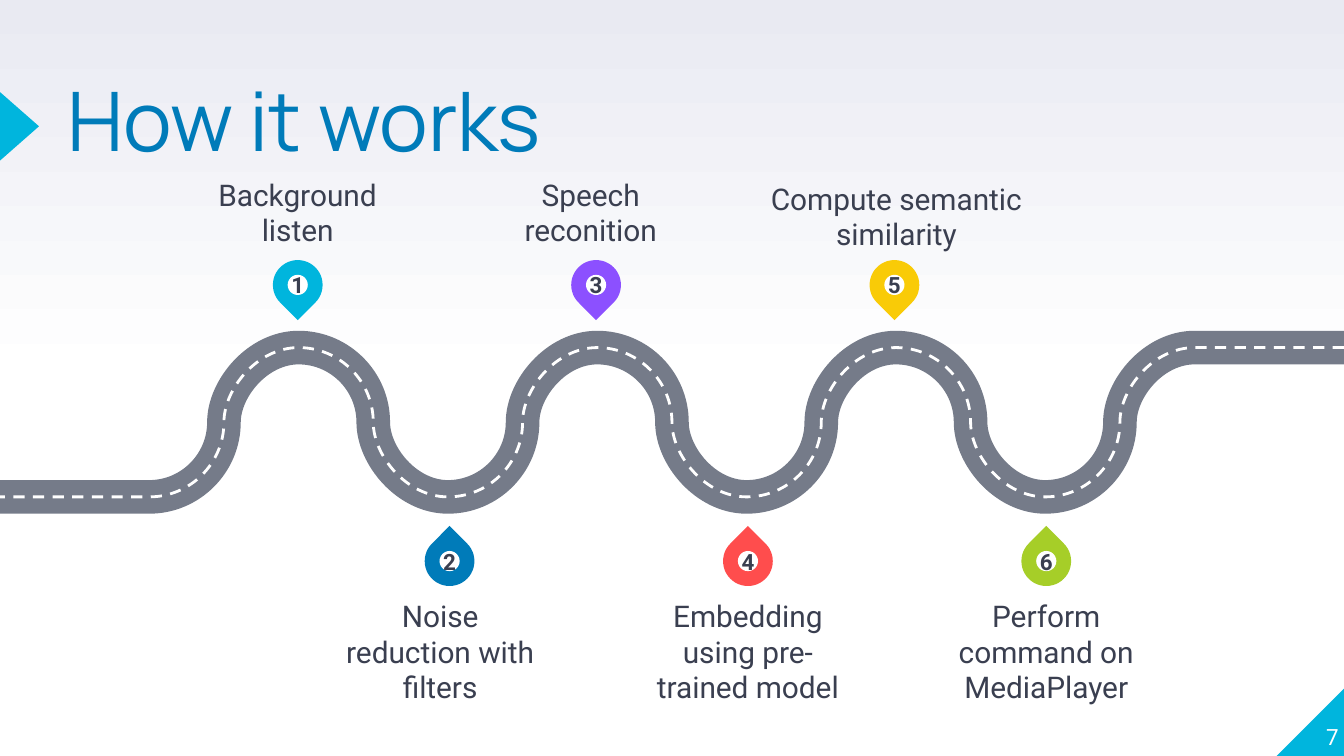
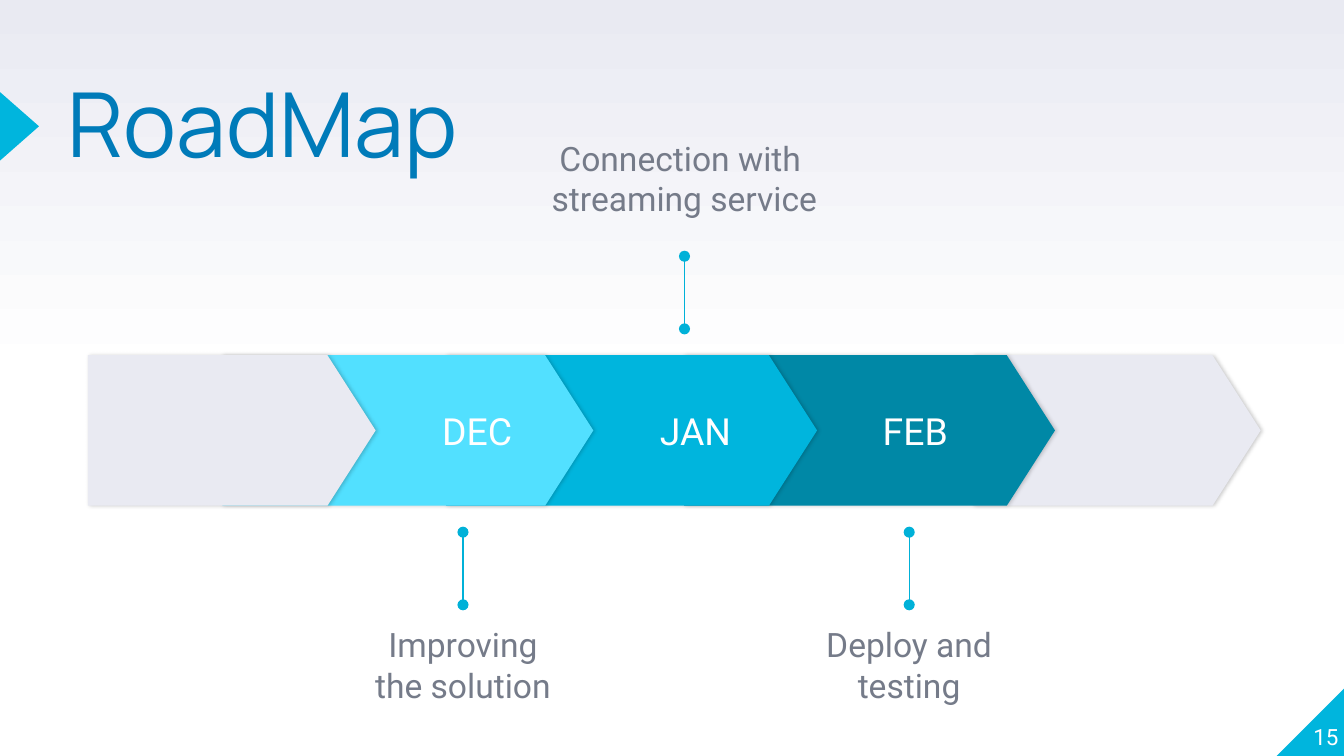
from dataclasses import dataclass

from lxml.etree import SubElement
from pptx import Presentation
from pptx.dml.color import RGBColor
from pptx.enum.dml import MSO_LINE_DASH_STYLE as Dash
from pptx.enum.shapes import MSO_CONNECTOR_TYPE as Link, MSO_SHAPE as Form
from pptx.enum.text import MSO_ANCHOR as Anchor, PP_ALIGN as Align
from pptx.oxml import parse_xml
from pptx.oxml.ns import nsdecls, qn
from pptx.util import Inches, Pt


@dataclass(frozen=True)
class Theme:
    heading: str = "Manrope"
    body: str = "Roboto"
    white: str = "FFFFFF"
    mist: str = "E9EAF2"
    slate: str = "757B89"
    ink: str = "3A3F50"
    cyan: str = "00B5DD"
    sky: str = "52E0FF"
    teal: str = "0088A6"
    link: str = "00B1D8"
    blue: str = "007BB9"
    violet: str = "8C50FF"
    red: str = "FF4D4D"
    yellow: str = "F9CB07"
    green: str = "A6CE28"
    small: int = 12
    step: int = 16
    note: int = 18
    month: int = 20


theme = Theme()
deck = Presentation()
deck.slide_width, deck.slide_height = Inches(10), Inches(5.625)
cell = deck.slide_width / 100


def place(page, form, left, top, width, height, color, turn=0):
    shape = page.shapes.add_shape(form, *(round(cell * n) for n in (left, top, width, height)))
    shape.shadow.inherit = False
    shape.fill.solid()
    shape.fill.fore_color.rgb = RGBColor.from_string(color)
    shape.line.fill.background()
    shape.rotation = turn
    return shape


def write(page, target, lines, size, color, align=Align.CENTER, anchor=Anchor.TOP,
          font=theme.body, bold=False, spacing=None, inset=0):
    if isinstance(target, tuple):
        target = page.shapes.add_textbox(*(round(cell * n) for n in target))
    frame = target.text_frame
    frame.word_wrap = True
    frame.vertical_anchor = anchor
    frame.margin_left = round(cell * inset)
    frame.margin_top = frame.margin_right = frame.margin_bottom = 0
    for index, line in enumerate(lines):
        para = frame.add_paragraph() if index else frame.paragraphs[0]
        para.alignment = align
        if spacing:
            para.line_spacing = spacing
        span = para.add_run()
        span.text = line
        span.font.name, span.font.size, span.font.bold = font, Pt(size), bold
        span.font.color.rgb = RGBColor.from_string(color)


pages = []
for title, title_size, title_width, number in (
    ("How it works", 44, 61.7, "7"),
    ("RoadMap", 48, 30, "15"),
):
    page = deck.slides.add_slide(deck.slide_layouts[6])
    stops = "".join(
        f'<a:gs pos="{share * 1000}"><a:srgbClr val="{color}"/></a:gs>'
        for share, color in ((0, theme.white), (50, theme.white), (100, theme.mist))
    )
    page.element.cSld.insert(0, parse_xml(
        f'<p:bg {nsdecls("p", "a")}><p:bgPr><a:gradFill rotWithShape="1"><a:gsLst>{stops}</a:gsLst>'
        '<a:lin ang="16200000" scaled="0"/></a:gradFill><a:effectLst/></p:bgPr></p:bg>'
    ))
    corner = place(page, Form.RIGHT_TRIANGLE, 95, 51.15, 5.1, 5.1, theme.cyan)
    corner.element.spPr.xfrm.set("flipH", "1")
    place(page, Form.ISOSCELES_TRIANGLE, -1.1, 7.95, 5.1, 2.9, theme.cyan, 90)
    write(page, (5, 6.6, title_width, 11.8), [title], title_size, theme.blue,
          Align.LEFT, font=theme.heading, spacing=0.8)
    write(page, (94.6, 50.7, 5, 5.1), [number], theme.small, theme.white,
          Align.RIGHT, Anchor.BOTTOM)
    pages.append(page)
works, roadmap = pages

bend = 100 / 18
road_middle = 31.42 / bend
pull = 0.55
road_points = [(18, road_middle - 1), (16, road_middle - 1)]
for column in range(16, 2, -1):
    if column % 2 == 0:
        edge = road_middle + (-1 if column % 4 == 0 else 1)
        turn = road_middle + (edge - road_middle) * (1 - pull)
        road_points += [(column - pull, edge), (column - 1, turn), (column - 1, road_middle)]
    else:
        edge = road_middle + (-1 if column % 4 == 1 else 1)
        turn = road_middle + (edge - road_middle) * pull
        road_points += [(column, turn), (column - 1 + pull, edge), (column - 1, edge)]
road_points.append((0, road_middle + 1))
road_points = [(round(x * bend * cell), round(y * bend * cell)) for x, y in road_points]

for color, width, dash in ((theme.slate, 18, None), (theme.white, 1.5, Dash.DASH)):
    builder = works.shapes.build_freeform(*road_points[0])
    builder.add_line_segments(road_points[1:], close=False)
    road = builder.convert_to_shape()
    pieces = list(road.element.iter(qn("a:lnTo")))[1:-1]
    for start in range(0, len(pieces), 3):
        curve = pieces[start].makeelement(qn("a:cubicBezTo"))
        pieces[start].addprevious(curve)
        for piece in pieces[start:start + 3]:
            curve.append(piece[0])
            piece.getparent().remove(piece)
    road.shadow.inherit = False
    road.fill.background()
    road.line.color.rgb = RGBColor.from_string(color)
    road.line.width = Pt(width)
    if dash:
        road.line.dash_style = dash

pin, hole = 3.7, 1.5
steps = (
    ("Background listen", theme.cyan, 15.1, 12.65, 14.1),
    ("Noise reduction with filters", theme.blue, 25.7, 44.45, 14.1),
    ("Speech reconition", theme.violet, 36.9, 12.65, 14.1),
    ("Embedding using pre-trained model", theme.red, 48.6, 44.45, 14.1),
    ("Compute semantic similarity", theme.yellow, 57.15, 12.95, 19.1),
    ("Perform command on MediaPlayer", theme.green, 70.8, 44.45, 14.1),
)
for index, (label, color, left, top, width) in enumerate(steps):
    above = index % 2 == 0
    center = 22.15 + 11.1 * index + (0 if above else 0.2)
    middle = 21.2 if above else 41.75
    place(works, Form.TEAR, center - pin / 2, middle - pin / 2, pin, pin, color,
          135 if above else 315)
    dot = place(works, Form.OVAL, center - hole / 2, middle - hole / 2, hole, hole, theme.white)
    write(works, dot, [str(index + 1)], theme.small, theme.ink, anchor=Anchor.MIDDLE, bold=True)
    write(works, (left, top, width, 5.8), [label], theme.step, theme.ink,
          anchor=Anchor.BOTTOM if above else Anchor.TOP)

for month, left, width, color, inset in (
    ("", 72.4, 21.4, theme.mist, 0),
    ("FEB", 50.9, 27.6, theme.teal, 8.6),
    ("JAN", 33.2, 27.6, theme.cyan, 11.3),
    ("DEC", 16.55, 27.6, theme.sky, 12.1),
    ("", 6.55, 21.4, theme.mist, 0),
):
    arrow = place(roadmap, Form.PENTAGON, left, 26.43, width, 11.2, color)
    arrow.adjustments[0] = 0.32
    effects = arrow.element.spPr.find(qn("a:effectLst"))
    shadow = SubElement(effects, qn("a:outerShdw"), blurRad=str(Pt(2.2)), dist=str(Pt(0.8)),
                        dir="0", algn="ctr", rotWithShape="0")
    shade = SubElement(shadow, qn("a:srgbClr"), val="000000")
    SubElement(shade, qn("a:alpha"), val="20000")
    if month:
        write(roadmap, arrow, [month], theme.month, theme.white,
              anchor=Anchor.MIDDLE, inset=inset)

for lines, center, top, width, line_bottom, anchor in (
    (["Improving the solution"], 34.45, 46.65, 13.7, 45, Anchor.BOTTOM),
    (["Connection with ", "streaming service"], 50.93, 10.25, 24, 24.47, Anchor.TOP),
    (["Deploy and testing"], 67.65, 46.65, 13.7, 45, Anchor.BOTTOM),
):
    write(roadmap, (center - width / 2, top, width, 5.8), lines, theme.note, theme.slate,
          anchor=anchor)
    ends = (center, line_bottom, center, line_bottom - 5.4)
    stem = roadmap.shapes.add_connector(Link.STRAIGHT, *(round(cell * n) for n in ends))
    stem.line.color.rgb = RGBColor.from_string(theme.link)
    stem.line.width = Pt(0.75)
    outline = stem.element.spPr.find(qn("a:ln"))
    for end in ("a:headEnd", "a:tailEnd"):
        SubElement(outline, qn(end), type="oval")
    SubElement(stem.element.spPr, qn("a:effectLst"))

deck.save("out.pptx")
